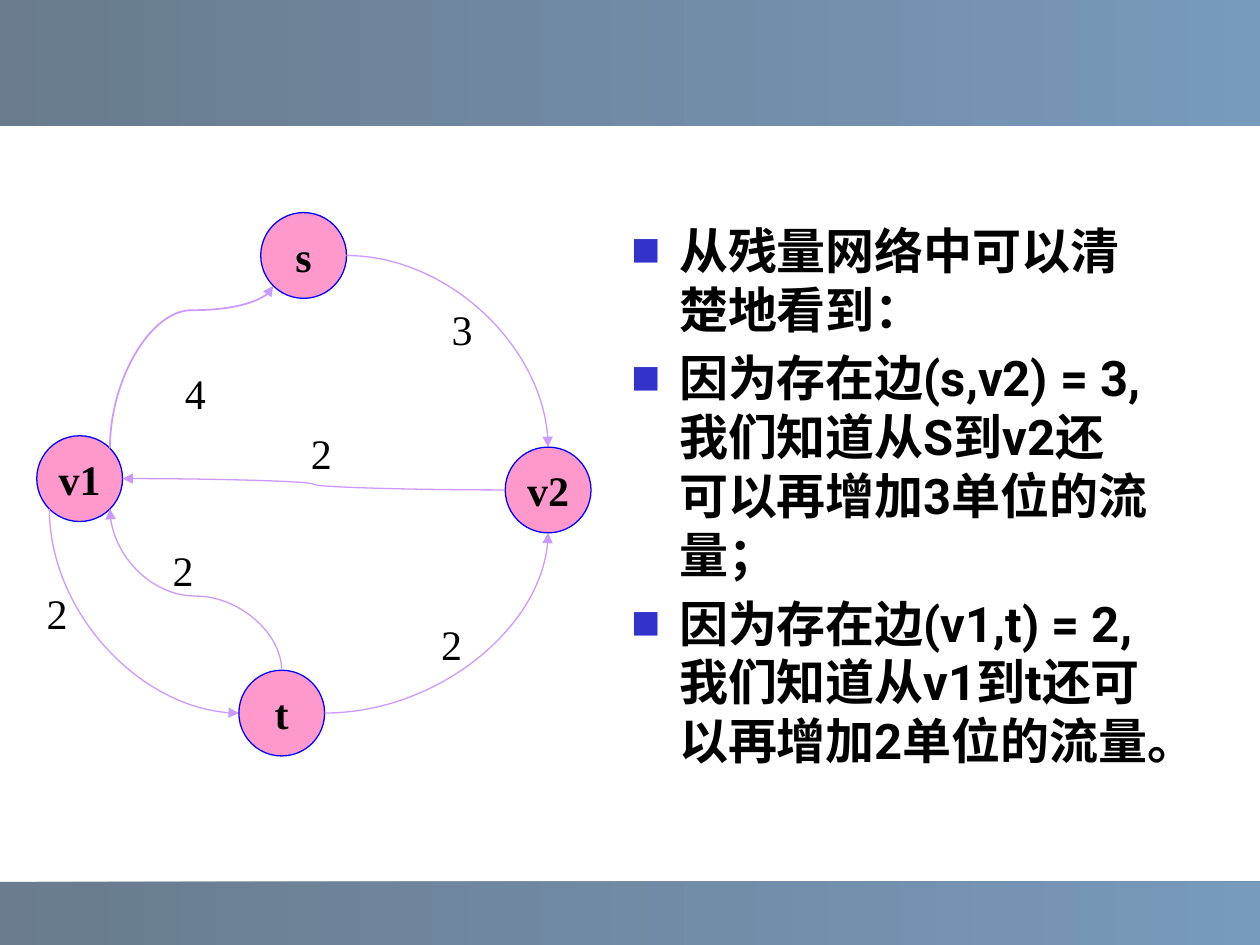
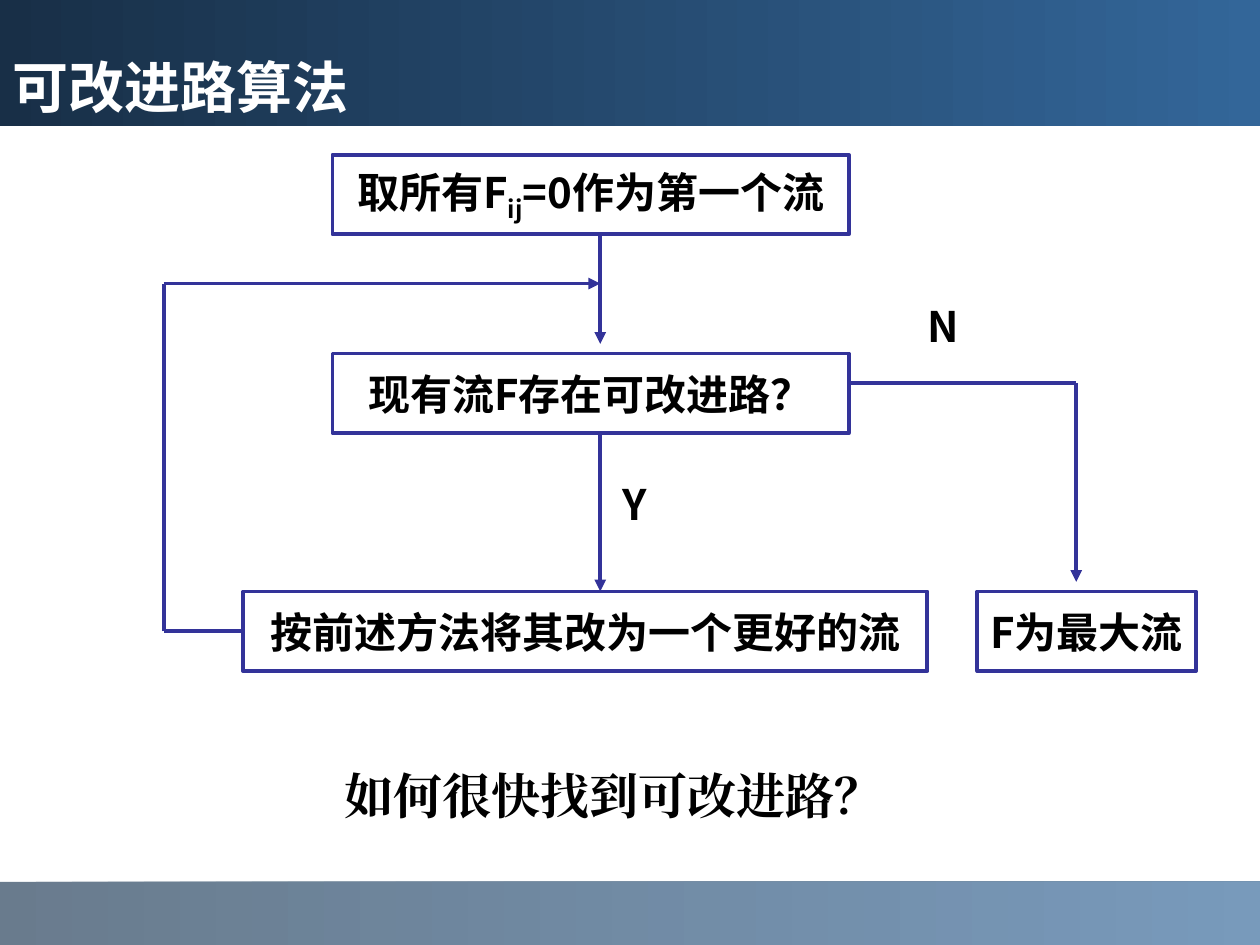
from math import cos, radians, sin

from lxml.etree import SubElement
from pptx import Presentation
from pptx.dml.color import RGBColor as RGB
from pptx.enum.shapes import MSO_CONNECTOR as LINK, MSO_SHAPE as SHAPE
from pptx.enum.text import MSO_ANCHOR as ANCHOR, PP_ALIGN as ALIGN
from pptx.oxml.ns import qn
from pptx.util import Pt

HUES = {
    "deep": "1C3853", "navy": "182F47", "blue": "336699",
    "white": "FFFFFF", "black": "000000", "mark": "3333CC",
    "pink": "FF99CC", "rim": "0000FF", "edge": "CC99FF", "flow": "333399",
}
ROBOTO, TIMES, NOTO = "Roboto", "Times New Roman", "Noto Sans CJK SC"
WIDE, HIGH = 720, 540
E, SE, S, SW, W, N, NE = 0, 45, 90, 135, 180, 270, 315


def hue(name):
    return RGB.from_string(HUES[name])


class Deck:
    def __init__(self):
        self.prs = Presentation()
        self.prs.slide_width, self.prs.slide_height = Pt(WIDE), Pt(HIGH)
        self.page = None

    def start(self):
        """Add a slide with the shared top and bottom bands."""
        self.page = self.prs.slides.add_slide(self.prs.slide_layouts[6])
        self.band(504, 36, "deep", 66)
        self.band(0, 72, "deep", 66)

    def shape(self, kind, x, y, w, h):
        item = self.page.shapes.add_shape(kind, Pt(x), Pt(y), Pt(w), Pt(h))
        item.shadow.inherit = False
        return item

    def band(self, y, h, left, alpha=100):
        bar = self.shape(SHAPE.RECTANGLE, 0, y, WIDE, h)
        bar.line.fill.background()
        bar.fill.gradient()
        bar.fill.gradient_angle = 0
        for stop, name in zip(bar.fill.gradient_stops, (left, "blue")):
            stop.color.rgb = hue(name)
        if alpha < 100:
            for tint in bar._element.spPr.iter(qn("a:srgbClr")):
                SubElement(tint, qn("a:alpha"), val=str(alpha * 1000))
        return bar

    def style(self, para, size, face, bold, color="black"):
        font = para.font
        font.size, font.bold = Pt(size), bold
        font.color.rgb = hue(color)
        font.name = face
        SubElement(font._rPr, qn("a:ea"), typeface=face)

    def title(self, text):
        frame = self.band(0, 72, "navy").text_frame
        frame.vertical_anchor = ANCHOR.BOTTOM
        frame.word_wrap = True
        para = frame.paragraphs[0]
        para.text, para.alignment = text, ALIGN.LEFT
        self.style(para, 32, ROBOTO, True, "white")

    def block(self, kind, spot, parts, face, line, width, fill=None):
        """Draw an outlined shape; every second part of its text is subscript."""
        item = self.shape(kind, *spot)
        if fill:
            item.fill.solid()
            item.fill.fore_color.rgb = hue(fill)
        else:
            item.fill.background()
        item.line.color.rgb, item.line.width = hue(line), Pt(width)
        frame = item.text_frame
        frame.word_wrap, frame.vertical_anchor = False, ANCHOR.MIDDLE
        para = frame.paragraphs[0]
        para.alignment = ALIGN.CENTER
        self.style(para, 24, face, True)
        for i, part in enumerate(parts):
            run = para.add_run()
            run.text = part
            if i % 2:
                run.font._rPr.set("baseline", "-25000")
        return item

    def label(self, text, x, y, face, bold=False, size=24, w=27, h=37):
        box = self.page.shapes.add_textbox(Pt(x), Pt(y), Pt(w), Pt(h))
        box.text_frame.word_wrap = False
        para = box.text_frame.paragraphs[0]
        para.text = text
        self.style(para, size, face, bold)

    def points(self, texts, x, y, w, h):
        box = self.page.shapes.add_textbox(Pt(x), Pt(y), Pt(w), Pt(h))
        frame = box.text_frame
        frame.word_wrap = True
        for i, text in enumerate(texts):
            para = frame.add_paragraph() if i else frame.paragraphs[0]
            para.text, para.space_before = text, Pt(5.6)
            props = para._p.get_or_add_pPr()
            props.set("marL", str(Pt(27)))
            props.set("indent", str(Pt(-27)))
            tint = SubElement(props, qn("a:buClr"))
            SubElement(tint, qn("a:srgbClr"), val=HUES["mark"])
            SubElement(props, qn("a:buSzPct"), val="60000")
            SubElement(props, qn("a:buFont"), typeface=NOTO)
            SubElement(props, qn("a:buChar"), char="■")
            self.style(para, 28, ROBOTO, True)

    def link(self, kind, a, b, color, width, arrow=True):
        item = self.page.shapes.add_connector(kind, *map(Pt, (*a, *b)))
        item.line.color.rgb, item.line.width = hue(color), Pt(width)
        if arrow:
            SubElement(item.line._get_or_add_ln(), qn("a:tailEnd"), type="triangle")
        SubElement(item._element.spPr, qn("a:effectLst"))
        return item

    def curve(self, a, b, upright=False, bend=None, width=0.75):
        """Curve from a to b; an upright one leaves a vertically."""
        (ax, ay), (bx, by) = a, b
        dx, dy = bx - ax, by - ay
        if upright:  # lay the frame on its side, then turn it
            mx, my = (ax + bx) / 2, (ay + by) / 2
            half = abs(dy) / 2 * (-1 if (dx > 0) == (dy > 0) else 1)
            a = mx - half, my - abs(dx) / 2
            b = mx + half, my + abs(dx) / 2
        item = self.link(LINK.CURVE, a, b, "edge", width)
        props = item._element.spPr
        if upright:
            props.find(qn("a:xfrm")).set("rot", str((270 if dx > 0 else 90) * 60000))
        geom = props.find(qn("a:prstGeom"))
        if bend is None:
            geom.set("prst", "curvedConnector2")
        else:
            guides = geom.find(qn("a:avLst"))
            if guides is None:
                guides = SubElement(geom, qn("a:avLst"))
            SubElement(guides, qn("a:gd"), name="adj1", fmla=f"val {round(bend * 100000)}")


def network(deck):
    deck.start()
    deck.points([
        "从残量网络中可以清楚地看到：",
        "因为存在边(s,v2) = 3,我们知道从S到v2还可以再增加3单位的流量；",
        "因为存在边(v1,t) = 2,我们知道从v1到t还可以再增加2单位的流量。",
    ], 354, 122.4, 312, 384)

    # Nodes
    size = 49
    nodes = {"v1": (21, 249), "t": (136.5, 383), "s": (149, 121.5), "v2": (288.7, 255.5)}
    for name, spot in nodes.items():
        deck.block(SHAPE.OVAL, (*spot, size, size), [name], TIMES, "rim", 0.75, "pink")

    def port(name, turn):
        x, y = nodes[name]
        r, angle = size / 2, radians(turn)
        return x + r + r * cos(angle), y + r + r * sin(angle)

    # Edges
    deck.curve(port("v1", NE), port("s", SW), True, 0.85, 1)
    deck.curve(port("v2", W), port("v1", E), bend=0.5)
    deck.curve(port("v1", SW), port("t", W), True)
    deck.curve(port("t", N), port("v1", SE), True, 0.46)
    deck.curve(port("t", E), port("v2", S))
    deck.curve(port("s", E), port("v2", N))

    # Capacities
    for text, x, y in [("2", 19.5, 332), ("3", 251, 170), ("2", 245, 350),
                       ("4", 98.5, 206.5), ("2", 170.5, 240.5), ("2", 91.5, 307.5)]:
        deck.label(text, x, y, TIMES)


def chart(deck):
    deck.start()
    deck.title("可改进路算法")

    # Steps
    steps = [
        (190, 88.5, 295, ["取所有F", "ij", "=0作为第一个流"]),
        (190, 202, 295, ["现有流F存在可改进路？"]),
        (139, 338, 391, ["按前述方法将其改为一个更好的流"]),
        (558.5, 338, 125, ["F为最大流"]),
    ]
    boxes = [deck.block(SHAPE.RECTANGLE, (x, y, w, 45.5), parts, NOTO, "flow", 2.25)
             for x, y, w, parts in steps]

    # Arrows: down the middle, back round the loop, out to the result
    mid, back, out, loop, exit = 343, 93.5, 615, 162, 219
    routes = [
        [(mid, 134), (mid, 196.5)],
        [(mid, 247.5), (mid, 338)],
        [(139, 360.75), (back, 360.75), (back, loop), (mid, loop)],
        [(485, exit), (out, exit), (out, 332.5)],
    ]
    for route in routes:
        legs = [deck.link(LINK.STRAIGHT, a, b, "flow", 2.25, b == route[-1])
                for a, b in zip(route, route[1:])]
        if route[0][0] == 139:
            legs[0].begin_connect(boxes[2], 1)

    # Labels
    deck.label("N", 523, 168, NOTO, True)
    deck.label("Y", 348.5, 270, NOTO, True)
    deck.label("如何很快找到可改进路？", 190, 434, TIMES, True, 28, 327, 41)


def main():
    deck = Deck()
    network(deck)
    chart(deck)
    deck.prs.save("out.pptx")


if __name__ == "__main__":
    main()
